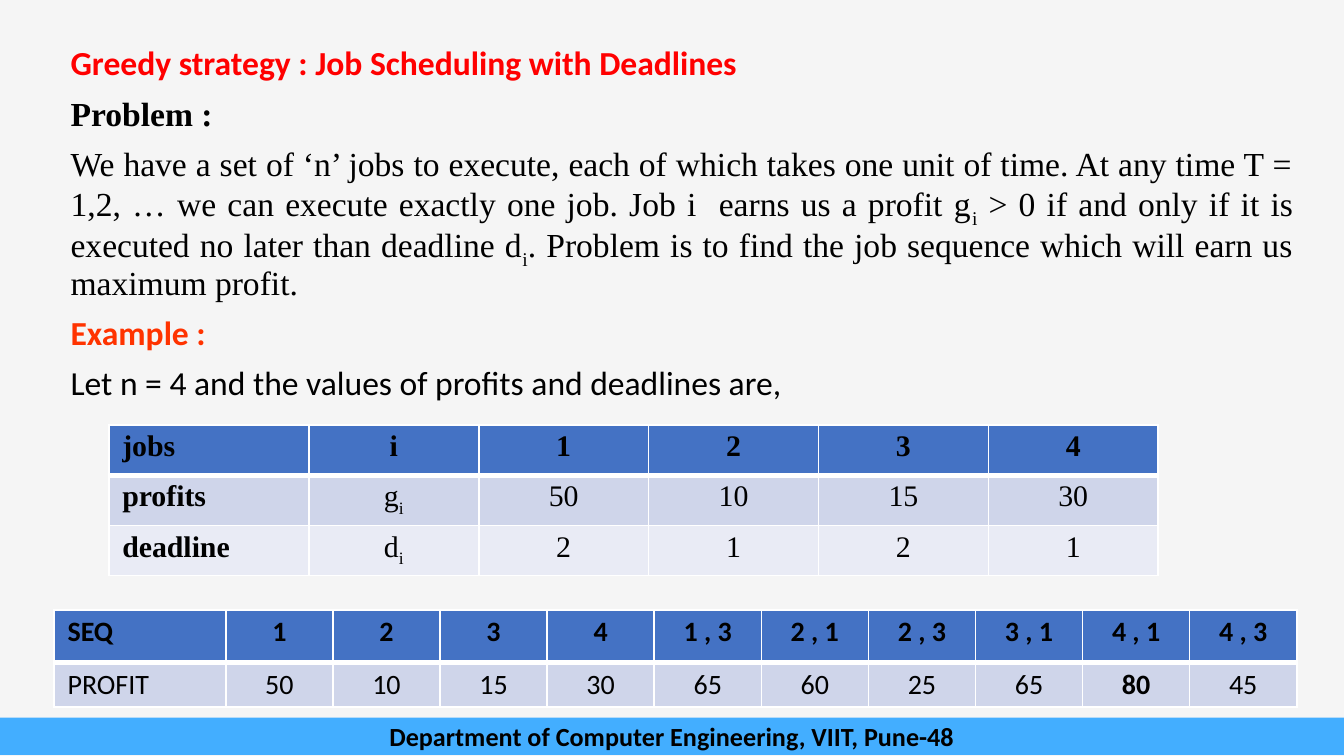
from dataclasses import dataclass

from lxml.etree import SubElement
from pptx import Presentation
from pptx.dml.color import RGBColor
from pptx.enum.shapes import MSO_SHAPE
from pptx.enum.text import MSO_ANCHOR, MSO_AUTO_SIZE, PP_ALIGN
from pptx.oxml.ns import qn
from pptx.util import Pt

BLACK = "000000"
WHITE = "FFFFFF"
HEADER_FILL = "4472C4"
BAND_FILLS = ["CFD5EA", "E9EBF5"]
SUBSCRIPT_MARK = "|"


@dataclass
class TextStyle:
    font: str
    size: float
    bold: bool = False
    color: str = BLACK
    align: PP_ALIGN = PP_ALIGN.LEFT


@dataclass
class Line:
    text: str
    style: TextStyle


@dataclass
class Grid:
    left: float
    top: float
    label_width: float
    value_width: float
    row_heights: list[float]
    rows: list[list[str]]
    font: str
    size: float
    bold_labels: bool = False
    best: str = ""


LINES = [
    Line("Greedy strategy : Job Scheduling with Deadlines",
         TextStyle("Calibri", 18, True, "FF0000")),
    Line("Problem :", TextStyle("Times New Roman", 18, True, align=PP_ALIGN.JUSTIFY)),
    Line("We have a set of ‘n’ jobs to execute, each of which takes one unit of time. "
         "At any time T = 1,2, … we can execute exactly one job. Job i  earns us a profit "
         "g|i| > 0 if and only if it is executed no later than deadline d|i|. Problem is "
         "to find the job sequence which will earn us maximum profit.",
         TextStyle("Times New Roman", 18, align=PP_ALIGN.JUSTIFY)),
    Line("Example :", TextStyle("Calibri", 18, True, "FF3300", PP_ALIGN.JUSTIFY)),
    Line("Let n = 4 and the values of profits and deadlines are,",
         TextStyle("Calibri", 18, align=PP_ALIGN.JUSTIFY)),
]

JOBS = Grid(
    58.3, 227.7, 107.2, 91, [26.9] * 3,
    [["jobs", "i", "1", "2", "3", "4"],
     ["profits", "g|i", "50", "10", "15", "30"],
     ["deadline", "d|i", "2", "1", "2", "1"]],
    "Times New Roman", 16, bold_labels=True)

SEQUENCES = Grid(
    29, 326.9, 92, 57.4, [28, 23.4],
    [["SEQ", "1", "2", "3", "4", "1 , 3", "2 , 1", "2 , 3", "3 , 1", "4 , 1", "4 , 3"],
     ["PROFIT", "50", "10", "15", "30", "65", "60", "25", "65", "80", "45"]],
    "Calibri", 15, best="80")


def rgb(color: str) -> RGBColor:
    return RGBColor.from_string(color)


def write(paragraph, text: str, style: TextStyle) -> None:
    paragraph.alignment = style.align
    font = paragraph.font
    font.name = style.font
    font.size = Pt(style.size)
    font.bold = style.bold
    font.color.rgb = rgb(style.color)
    for position, part in enumerate(text.split(SUBSCRIPT_MARK)):
        run = paragraph.add_run()
        run.text = part
        if position % 2:
            run.font._element.set("baseline", "-25000")


def fill_body(body, lines: list[Line]) -> None:
    body.left, body.top, body.width, body.height = Pt(32.4), Pt(22.3), Pt(666), Pt(359.3)
    frame = body.text_frame
    frame.auto_size = MSO_AUTO_SIZE.NONE
    frame.word_wrap = True
    frame.vertical_anchor = MSO_ANCHOR.TOP
    frame.margin_left = frame.margin_right = Pt(5.4)
    frame.margin_top = frame.margin_bottom = Pt(2.7)
    for position, line in enumerate(lines):
        paragraph = frame.add_paragraph() if position else frame.paragraphs[0]
        paragraph.line_spacing = 0.9
        paragraph.space_before = Pt(7.5)
        paragraph.space_after = Pt(0)
        properties = paragraph._p.get_or_add_pPr()
        properties.set("marL", "0")
        properties.set("indent", "0")
        SubElement(properties, qn("a:buNone"))
        write(paragraph, line.text, line.style)


def add_borders(cell, bottom_width: float) -> None:
    properties = cell._tc.get_or_add_tcPr()
    for side, width in (("L", 1), ("R", 1), ("T", 1), ("B", bottom_width)):
        border = SubElement(properties, qn(f"a:ln{side}"), w=str(int(Pt(width))))
        paint = SubElement(border, qn("a:solidFill"))
        SubElement(paint, qn("a:srgbClr"), val=WHITE)


def add_grid(slide, grid: Grid) -> None:
    widths = [grid.label_width] + [grid.value_width] * (len(grid.rows[0]) - 1)
    table = slide.shapes.add_table(
        len(grid.rows), len(widths), Pt(grid.left), Pt(grid.top),
        Pt(sum(widths)), Pt(sum(grid.row_heights))).table
    for column, width in zip(table.columns, widths):
        column.width = Pt(width)
    for r, (height, texts) in enumerate(zip(grid.row_heights, grid.rows)):
        table.rows[r].height = Pt(height)
        is_header = r == 0
        for c, text in enumerate(texts):
            is_label = c == 0
            cell = table.cell(r, c)
            cell.margin_left = cell.margin_right = Pt(7.2)
            cell.margin_top = cell.margin_bottom = Pt(2.7)
            add_borders(cell, 3 if is_header else 1)
            cell.fill.solid()
            cell.fill.fore_color.rgb = rgb(
                HEADER_FILL if is_header else BAND_FILLS[(r - 1) % 2])
            bold = is_header or (is_label and grid.bold_labels) or text == grid.best
            align = PP_ALIGN.LEFT if is_label else PP_ALIGN.CENTER
            write(cell.text_frame.paragraphs[0], text,
                  TextStyle(grid.font, grid.size, bold, align=align))


def add_footer(slide, text: str) -> None:
    bar = slide.shapes.add_shape(
        MSO_SHAPE.RECTANGLE, Pt(0), Pt(384.5), Pt(720), Pt(20))
    bar.shadow.inherit = False
    bar.fill.solid()
    bar.fill.fore_color.rgb = rgb("43AEFF")
    bar.line.fill.background()
    bar.text_frame.word_wrap = True
    bar.text_frame.vertical_anchor = MSO_ANCHOR.MIDDLE
    write(bar.text_frame.paragraphs[0], text,
          TextStyle("Calibri", 14, True, align=PP_ALIGN.CENTER))


def main() -> None:
    deck = Presentation()
    deck.slide_width, deck.slide_height = Pt(720), Pt(405)
    slide = deck.slides.add_slide(deck.slide_layouts[1])
    slide.background.fill.solid()
    slide.background.fill.fore_color.rgb = rgb("F5F5F5")
    heading = slide.shapes.title._element
    heading.getparent().remove(heading)
    fill_body(slide.placeholders[1], LINES)
    add_grid(slide, JOBS)
    add_grid(slide, SEQUENCES)
    add_footer(slide, "Department of Computer Engineering, VIIT, Pune-48")
    deck.save("out.pptx")


if __name__ == "__main__":
    main()
